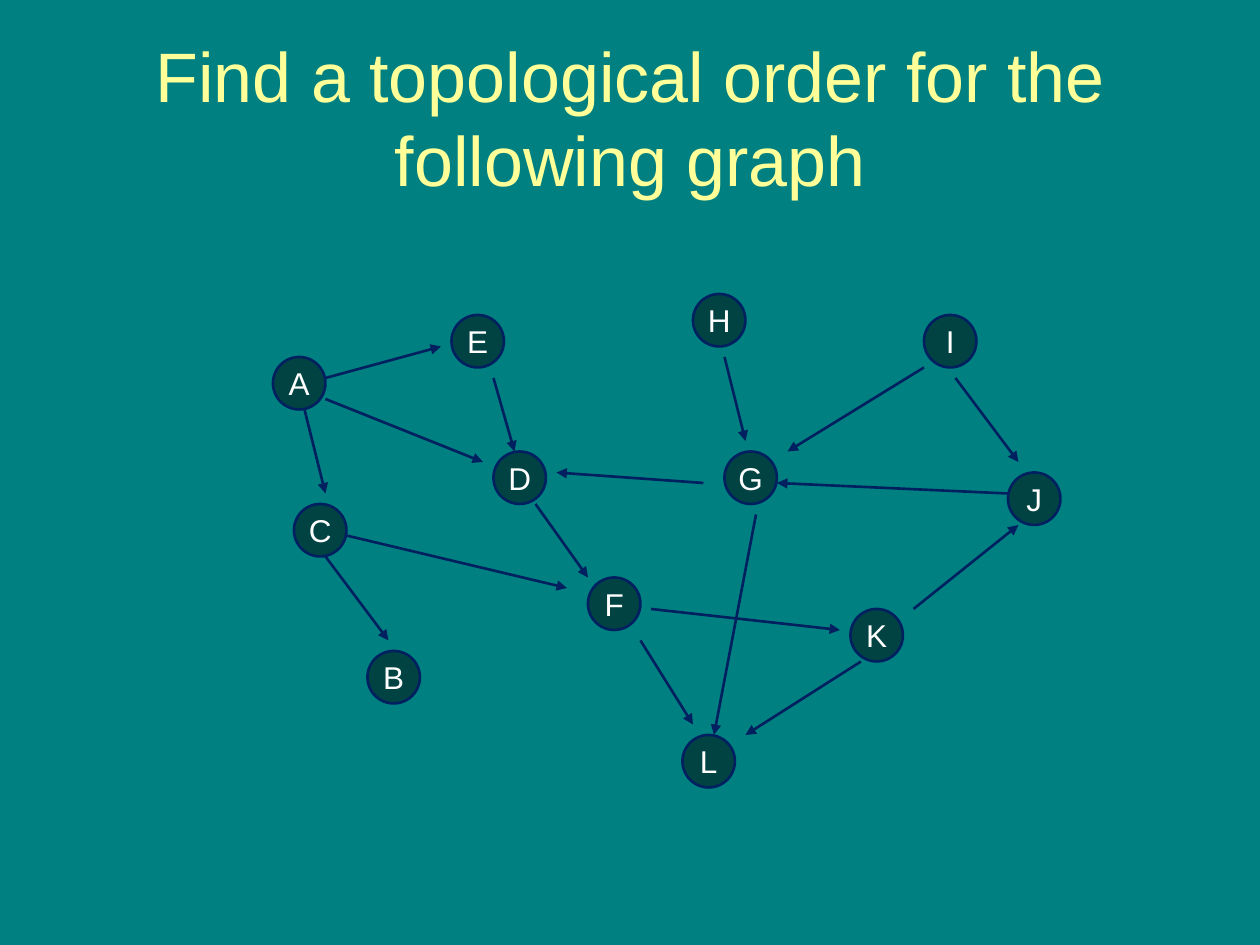
from lxml.etree import SubElement
from pptx import Presentation
from pptx.dml.color import RGBColor
from pptx.enum.shapes import MSO_CONNECTOR, MSO_SHAPE
from pptx.enum.text import MSO_ANCHOR, MSO_AUTO_SIZE, PP_ALIGN
from pptx.oxml.ns import qn
from pptx.util import Pt

TITLE = "Find a topological order for the following graph"

# Positions are in grid steps: top-left corner of each node
NODES = {
    "E": (43, 30), "F": (56, 55), "D": (47, 43), "A": (26, 34),
    "C": (28, 48), "B": (35, 62), "K": (81, 58), "J": (96, 45),
    "G": (69, 43), "H": (66, 28), "I": (88, 30), "L": (65, 70),
}
# Start and end point of each edge
EDGES = [
    ((31, 36), (42, 33)),  # A to E
    ((31, 38), (46, 44)),  # A to D
    ((29, 39), (31, 47)),  # A to C
    ((51, 48), (56, 55)),  # D to F
    ((62, 58), (80, 60)),  # F to K
    ((87, 58), (97, 50)),  # K to J
    ((67, 46), (53, 45)),  # G to D
    ((96, 47), (74, 46)),  # J to G
    ((69, 34), (71, 42)),  # H to G
    ((47, 36), (49, 43)),  # E to D
    ((31, 53), (37, 61)),  # C to B
    ((33, 51), (54, 56)),  # C to F
    ((61, 61), (66, 69)),  # F to L
    ((72, 49), (68, 70)),  # G to L
    ((82, 63), (71, 70)),  # K to L
    ((88, 35), (75, 43)),  # I to G
    ((91, 36), (97, 44)),  # I to J
]

STEP = 6
NODE_SIZE = Pt(5 * STEP)
LINE_WIDTH = Pt(1.5)
FONT = "Arial"
TEAL = RGBColor(0x00, 0x80, 0x80)
DARK_TEAL = RGBColor(0x00, 0x43, 0x42)
NAVY = RGBColor(0x00, 0x20, 0x60)
YELLOW = RGBColor(0xFF, 0xFF, 0x99)
WHITE = RGBColor(0xFF, 0xFF, 0xFF)


def grid(point):
    """Turn grid steps into lengths."""
    return [Pt(STEP * n) for n in point]


def set_text(tf, text, size, color):
    tf.text = text
    tf.vertical_anchor = MSO_ANCHOR.MIDDLE
    p = tf.paragraphs[0]
    p.alignment = PP_ALIGN.CENTER
    p.font.name = FONT
    p.font.size = Pt(size)
    p.font.color.rgb = color


def set_line(line):
    line.color.rgb = NAVY
    line.width = LINE_WIDTH


def add_node(graph, label, corner):
    sp = graph.shapes.add_shape(MSO_SHAPE.OVAL, *grid(corner), NODE_SIZE, NODE_SIZE)
    sp.shadow.inherit = False
    sp.fill.solid()
    sp.fill.fore_color.rgb = DARK_TEAL
    set_line(sp.line)
    sp.text_frame.word_wrap = False
    set_text(sp.text_frame, label, 18, WHITE)


def add_edge(graph, start, end):
    edge = graph.shapes.add_connector(MSO_CONNECTOR.STRAIGHT, *grid(start), *grid(end))
    set_line(edge.line)
    SubElement(edge.line._get_or_add_ln(), qn("a:tailEnd"), type="triangle")
    SubElement(edge._element.spPr, qn("a:effectLst"))


prs = Presentation()
prs.slide_width, prs.slide_height = Pt(720), Pt(540)
s = prs.slides.add_slide(prs.slide_layouts[5])
s.background.fill.solid()
s.background.fill.fore_color.rgb = TEAL

title = s.shapes.title
title.left, title.top, title.width, title.height = Pt(36), Pt(21.6), Pt(648), Pt(90)
title.text_frame.word_wrap = True
title.text_frame.auto_size = MSO_AUTO_SIZE.NONE
set_text(title.text_frame, TITLE, 40, YELLOW)

graph = s.shapes.add_group_shape()
for label, corner in NODES.items():
    add_node(graph, label, corner)
for start, end in EDGES:
    add_edge(graph, start, end)

prs.save("out.pptx")
